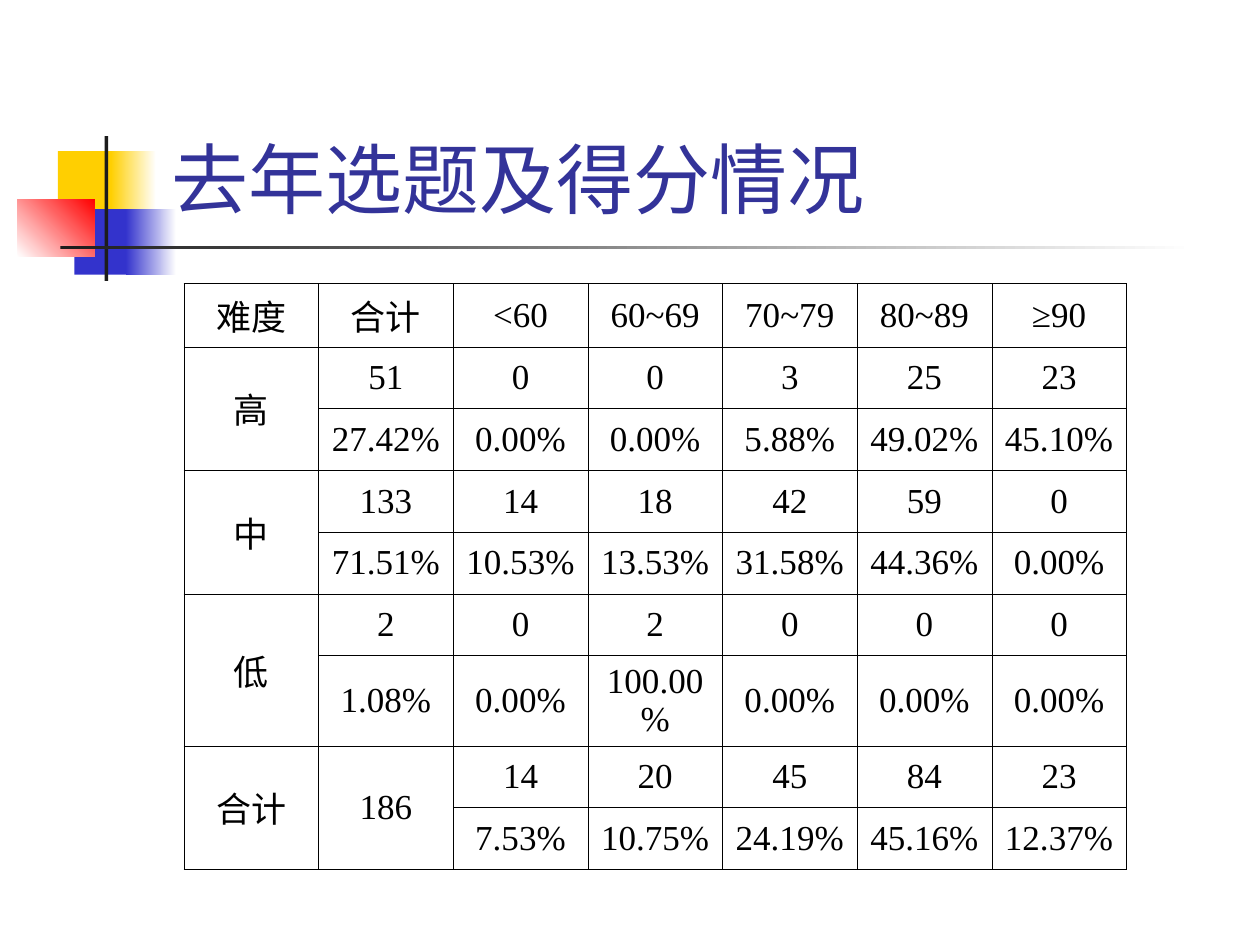
from lxml import etree
from pptx import Presentation
from pptx.dml.color import RGBColor
from pptx.enum.shapes import MSO_SHAPE
from pptx.enum.text import MSO_ANCHOR, MSO_AUTO_SIZE, PP_ALIGN
from pptx.oxml import parse_xml
from pptx.oxml.ns import nsdecls
from pptx.util import Inches, Pt

YELLOW = RGBColor(0xFF, 0xCF, 0x01)
BLUE = RGBColor(0x33, 0x33, 0xCC)
RED = RGBColor(0xFF, 0x00, 0x00)
DARK = RGBColor(0x1C, 0x1C, 0x1C)
WHITE = RGBColor(0xFF, 0xFF, 0xFF)
BLACK = RGBColor(0x00, 0x00, 0x00)
NAVY = RGBColor(0x33, 0x33, 0x99)

BORDER = (
    '<a:{side} {ns} w="{width}"><a:solidFill><a:srgbClr val="{color}"/>'
    "</a:solidFill></a:{side}>"
)

prs = Presentation()
prs.slide_width, prs.slide_height = Inches(10), Inches(7.5)
s = prs.slides.add_slide(prs.slide_layouts[5])

decorations = [
    (0.46, 1.2, 0.48, 0.52, [YELLOW], 0),
    (0.88, 1.2, 0.36, 0.52, [YELLOW, WHITE], 0),
    (0.59, 1.66, 0.46, 0.52, [BLUE], 0),
    (1, 1.66, 0.4, 0.52, [BLUE, WHITE], 0),
    (0.14, 1.58, 0.61, 0.46, [WHITE, RED], 45),
    (0.83, 1.08, 0.03, 1.15, [DARK], 0),
    (0.48, 1.95, 9, 0.03, [DARK, WHITE], 0),
]
for left, top, width, height, colors, angle in decorations:
    sp = s.shapes.add_shape(
        MSO_SHAPE.RECTANGLE, Inches(left), Inches(top), Inches(width), Inches(height)
    )
    sp.shadow.inherit = False
    sp.line.fill.background()
    if len(colors) == 1:
        sp.fill.solid()
        sp.fill.fore_color.rgb = colors[0]
    else:
        sp.fill.gradient()
        sp.fill.gradient_angle = angle
        for stop, color in zip(sp.fill.gradient_stops, colors):
            stop.color.rgb = color

title = s.shapes.title
title.left, title.top = Inches(1.26), Inches(0.23)
title.width, title.height = Inches(8.52), Inches(1.6)
tf = title.text_frame
tf.text = "去年选题及得分情况"
tf.auto_size = MSO_AUTO_SIZE.NONE
tf.vertical_anchor = MSO_ANCHOR.BOTTOM
p = tf.paragraphs[0]
p.alignment = PP_ALIGN.LEFT
p.font.size = Pt(44)
p.font.name = "Cabin"
p.font.color.rgb = NAVY

rows = [
    ["难度", "合计", "<60", "60~69", "70~79", "80~89", "≥90"],
    ["高", "51", "0", "0", "3", "25", "23"],
    ["", "27.42%", "0.00%", "0.00%", "5.88%", "49.02%", "45.10%"],
    ["中", "133", "14", "18", "42", "59", "0"],
    ["", "71.51%", "10.53%", "13.53%", "31.58%", "44.36%", "0.00%"],
    ["低", "2", "0", "2", "0", "0", "0"],
    ["", "1.08%", "0.00%", "100.00%", "0.00%", "0.00%", "0.00%"],
    ["合计", "186", "14", "20", "45", "84", "23"],
    ["", "", "7.53%", "10.75%", "24.19%", "45.16%", "12.37%"],
]
table = s.shapes.add_table(
    len(rows), len(rows[0]), Inches(1.46), Inches(2.25), Inches(7.48), Inches(4.41)
).table
table.first_row = False
table.horz_banding = False

for r, row in enumerate(rows):
    for c, text in enumerate(row):
        cell = table.cell(r, c)
        cell.text = text
        cell.vertical_anchor = MSO_ANCHOR.MIDDLE
        p = cell.text_frame.paragraphs[0]
        p.alignment = PP_ALIGN.CENTER
        p.font.size = Pt(20)
        p.font.name = "Times New Roman"
        p.font.color.rgb = BLACK
        tcPr = cell._tc.get_or_add_tcPr()
        for side in ("lnL", "lnR", "lnT", "lnB"):
            tcPr.append(parse_xml(BORDER.format(
                side=side, ns=nsdecls("a"), width=Pt(0.23), color=BLACK
            )))
        cell.fill.background()

for r, c in [(1, 0), (3, 0), (5, 0), (7, 0), (7, 1)]:
    table.cell(r, c).merge(table.cell(r + 1, c))

prs.save("out.pptx")
